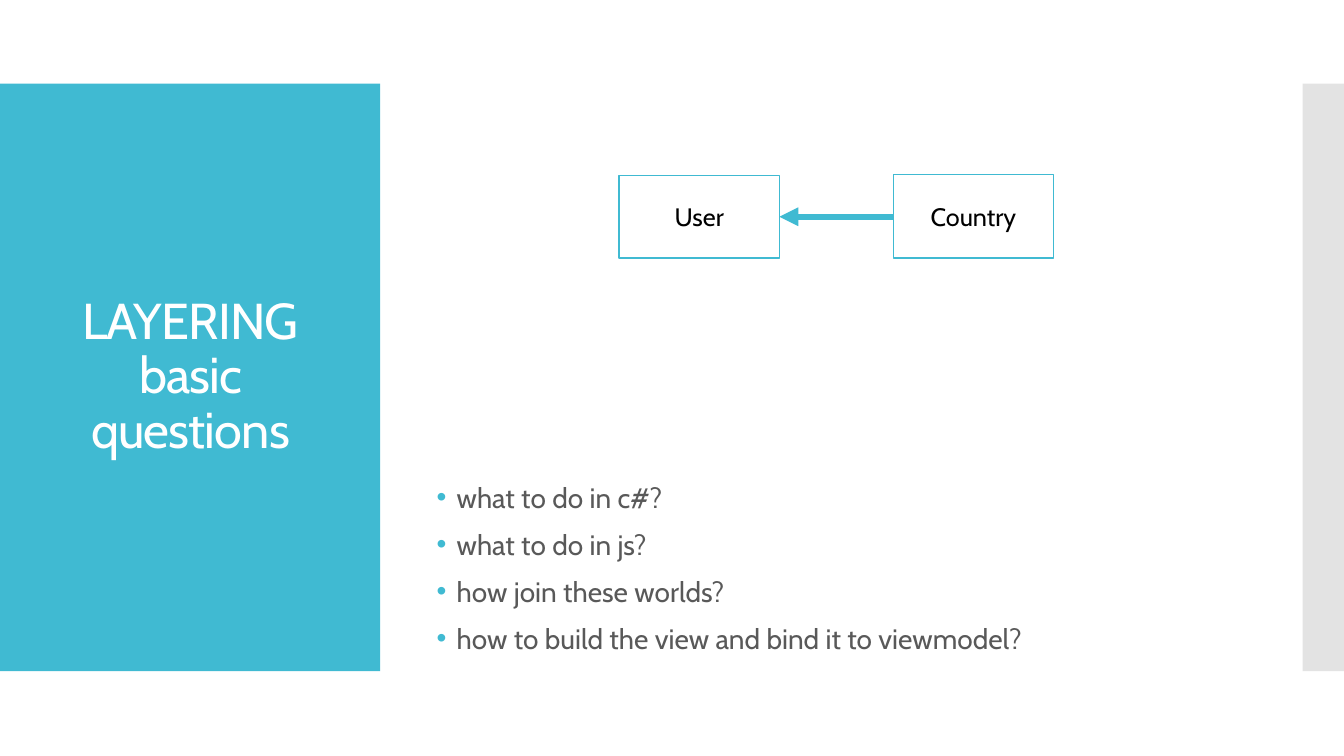
"""Build the layering questions slide."""
from lxml.etree import SubElement
from pptx import Presentation
from pptx.dml.color import RGBColor
from pptx.enum.shapes import MSO_CONNECTOR, MSO_SHAPE
from pptx.enum.text import MSO_ANCHOR, MSO_AUTO_SIZE, PP_ALIGN
from pptx.oxml.ns import qn
from pptx.util import Inches, Pt

TITLE = "LAYERING\vbasic questions"
QUESTIONS = [
    "what to do in c#?",
    "what to do in js?",
    "how join these worlds?",
    "how to build the view and bind it to viewmodel?",
]
ENTITIES = [
    ("User", (6.14, 1.74, 1.59, 0.82)),
    ("Country", (8.86, 1.73, 1.59, 0.83)),
]
TITLE_PANEL = (0, 0.83, 3.77, 5.83)
EDGE_PANEL = (12.92, 0.83, 0.42, 5.83)
TITLE_AREA = (0.28, 1.23, 3.22, 5.03)
QUESTION_AREA = (4.23, 0.95, 8, 5.6)
ARROW_HEIGHT = 2.15
FONT, ACCENT, WHITE = "Cabin", "40BAD2", "FFFFFF"


def color(value):
    """Turn a hex string into a colour."""
    return RGBColor.from_string(value)


def place(shape, area):
    """Move a shape to an area given in inches."""
    shape.left, shape.top, shape.width, shape.height = map(Inches, area)


def write(paragraph, text, size, text_color, align=PP_ALIGN.LEFT, line_spacing=None,
          space_before=0, bullet=None, spacing=None):
    """Write formatted text into a paragraph."""
    paragraph.text = text
    paragraph.alignment = align
    paragraph.line_spacing = line_spacing
    paragraph.space_before = Pt(space_before)
    if bullet:
        properties = paragraph._p.get_or_add_pPr()
        properties.set("marL", str(Inches(0.2)))
        properties.set("indent", str(Inches(-0.2)))
        bullet_color = SubElement(properties, qn("a:buClr"))
        SubElement(bullet_color, qn("a:srgbClr"), val=ACCENT)
        SubElement(properties, qn("a:buFont"), typeface="Arial")
        SubElement(properties, qn("a:buChar"), char=bullet)
    for run in paragraph.runs:
        run.font.name = FONT
        run.font.size = Pt(size)
        run.font.color.rgb = color(text_color)
        if spacing is not None:
            run.font._element.set("spc", str(round(spacing * 100)))


def add_rectangle(slide, area, fill, line=None):
    """Add a flat rectangle."""
    shape = slide.shapes.add_shape(MSO_SHAPE.RECTANGLE, *map(Inches, area))
    shape.shadow.inherit = False
    shape.fill.solid()
    shape.fill.fore_color.rgb = color(fill)
    if line:
        shape.line.color.rgb = color(line)
        shape.line.width = Pt(0.85)
    else:
        shape.line.fill.background()
    return shape


def prepare_frame(shape, anchor):
    """Set wrapping and anchoring of a shape's text."""
    frame = shape.text_frame
    frame.word_wrap = True
    frame.auto_size = MSO_AUTO_SIZE.NONE
    frame.vertical_anchor = anchor
    return frame


def add_arrow(slide, start, end):
    """Add a level arrow between two horizontal positions."""
    arrow = slide.shapes.add_connector(
        MSO_CONNECTOR.STRAIGHT, *map(Inches, (start, ARROW_HEIGHT, end, ARROW_HEIGHT)))
    arrow.line.color.rgb = color(ACCENT)
    arrow.line.width = Pt(4.5)
    SubElement(arrow.line._get_or_add_ln(), qn("a:tailEnd"), type="triangle")
    SubElement(arrow._element.spPr, qn("a:effectLst"))


def main():
    """Create and save the presentation."""
    presentation = Presentation()
    presentation.slide_width = Inches(13.33)
    presentation.slide_height = Inches(7.5)
    slide = presentation.slides.add_slide(presentation.slide_layouts[1])
    title, body = slide.placeholders

    title_panel = add_rectangle(slide, TITLE_PANEL, ACCENT)
    edge_panel = add_rectangle(slide, EDGE_PANEL, "C8C8C8")
    edge_color = edge_panel._element.spPr.find(f"{qn('a:solidFill')}/{qn('a:srgbClr')}")
    SubElement(edge_color, qn("a:alpha"), val="50000")
    for panel in (title_panel, edge_panel):
        title.element.addprevious(panel.element)

    place(title, TITLE_AREA)
    frame = prepare_frame(title, MSO_ANCHOR.MIDDLE)
    write(frame.paragraphs[0], TITLE, 36, WHITE, align=PP_ALIGN.CENTER,
          line_spacing=0.9, spacing=-0.6)

    place(body, QUESTION_AREA)
    frame = prepare_frame(body, MSO_ANCHOR.BOTTOM)
    for index, question in enumerate(QUESTIONS):
        paragraph = frame.add_paragraph() if index else frame.paragraphs[0]
        write(paragraph, question, 20, "595959", line_spacing=0.9,
              space_before=12 if index else 0, bullet="•")

    for name, area in ENTITIES:
        box = add_rectangle(slide, area, WHITE, line=ACCENT)
        frame = prepare_frame(box, MSO_ANCHOR.MIDDLE)
        write(frame.paragraphs[0], name, 18, "000000", align=PP_ALIGN.CENTER)

    (_, user), (_, country) = ENTITIES
    add_arrow(slide, country[0], user[0] + user[2])
    presentation.save("out.pptx")


if __name__ == "__main__":
    main()
